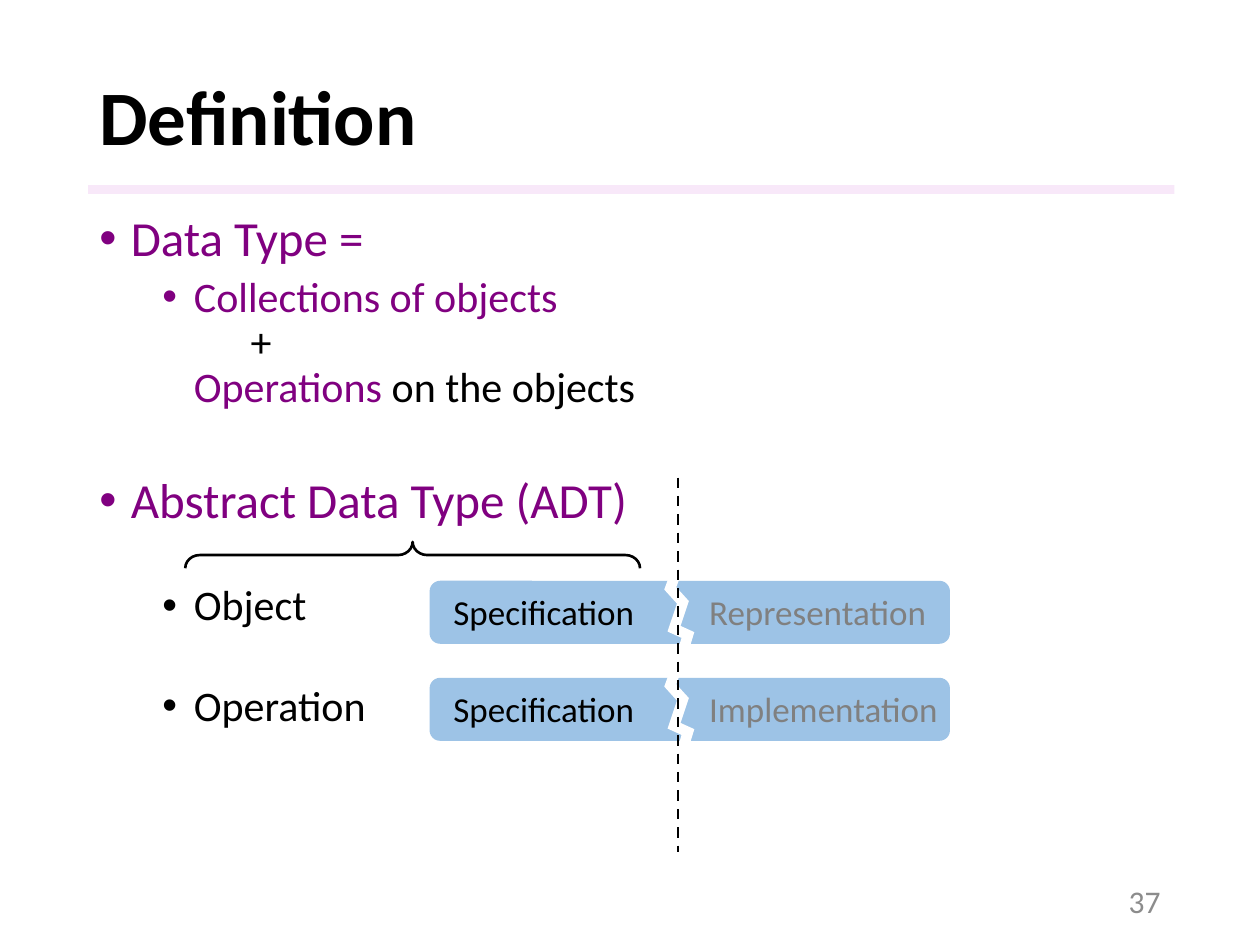
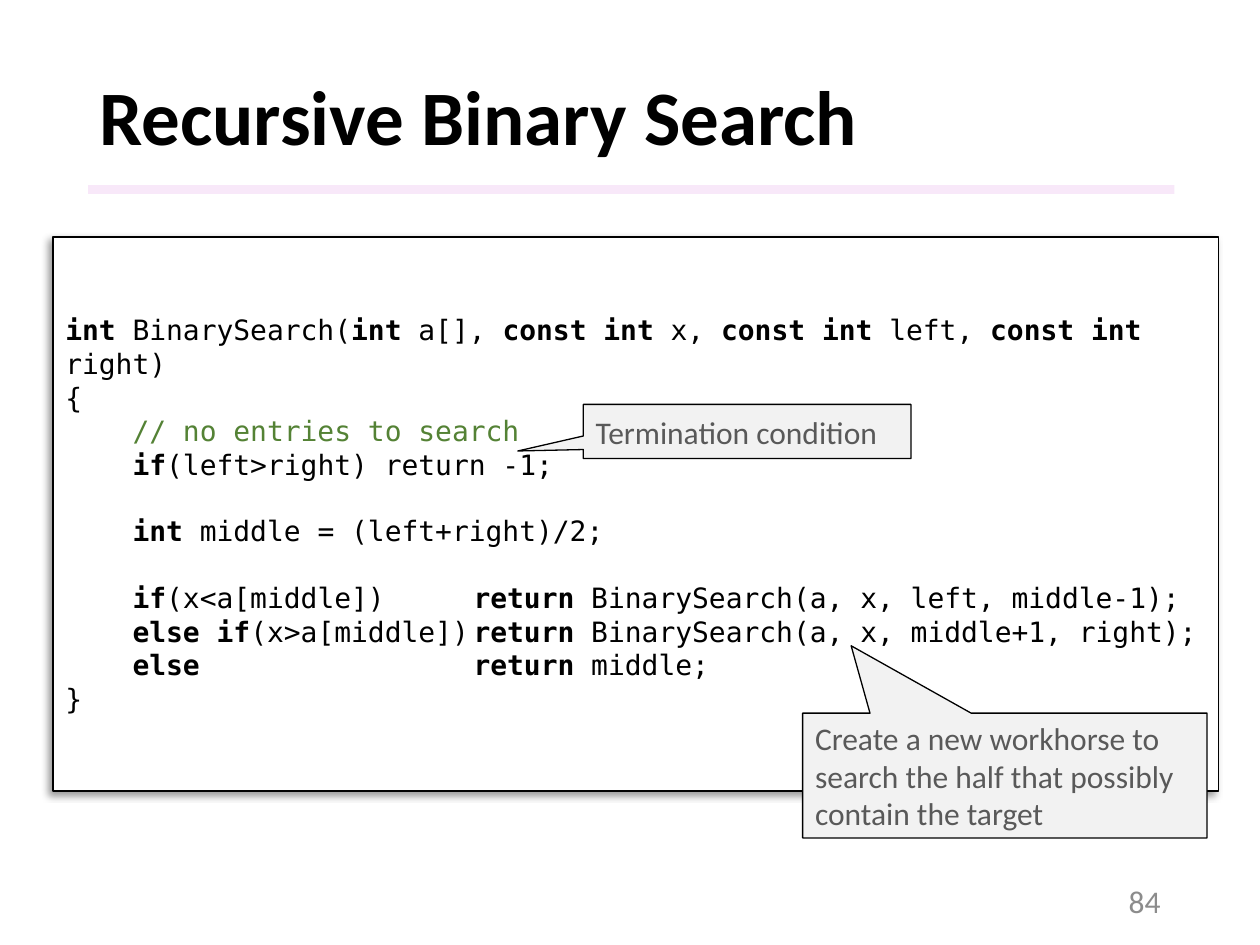
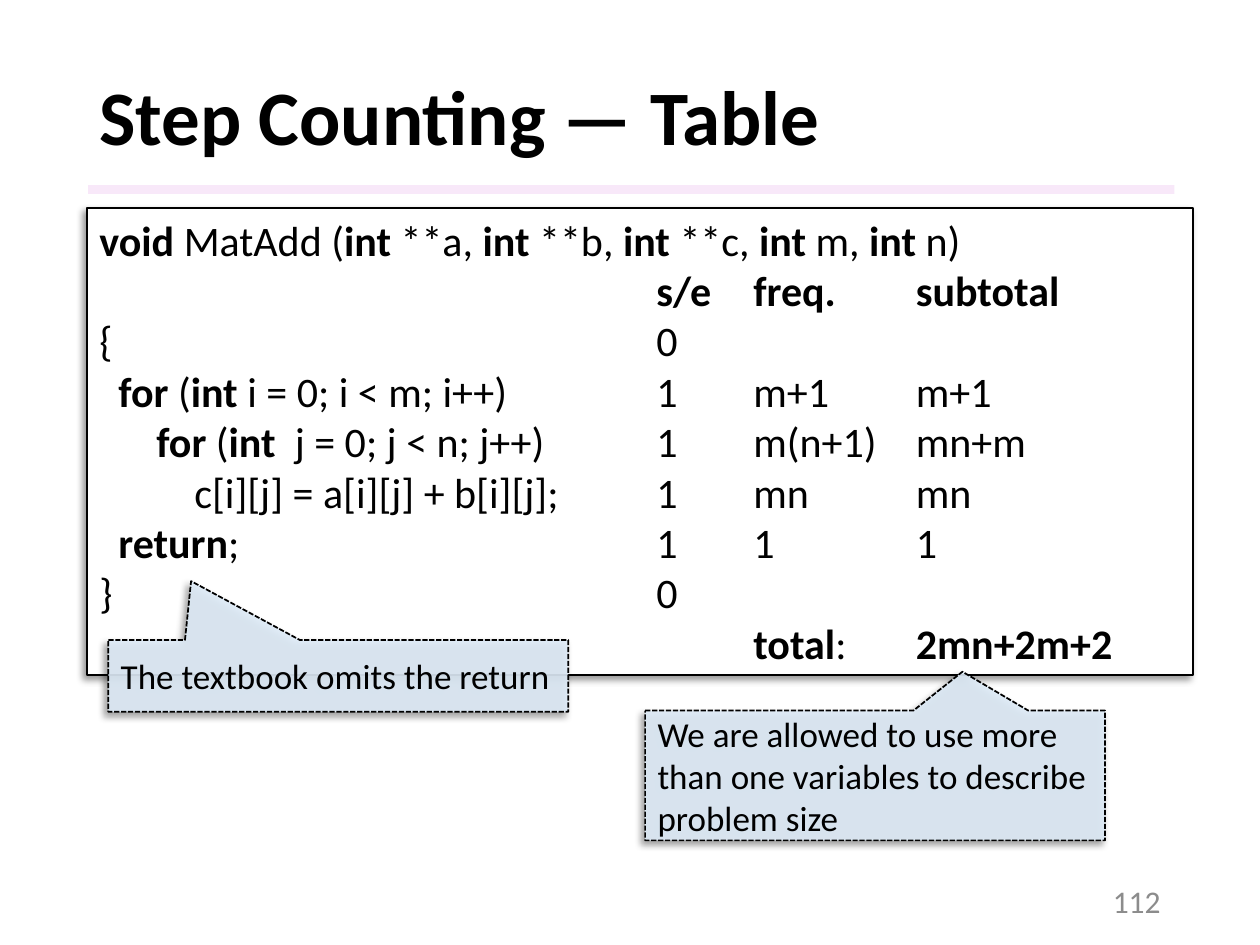
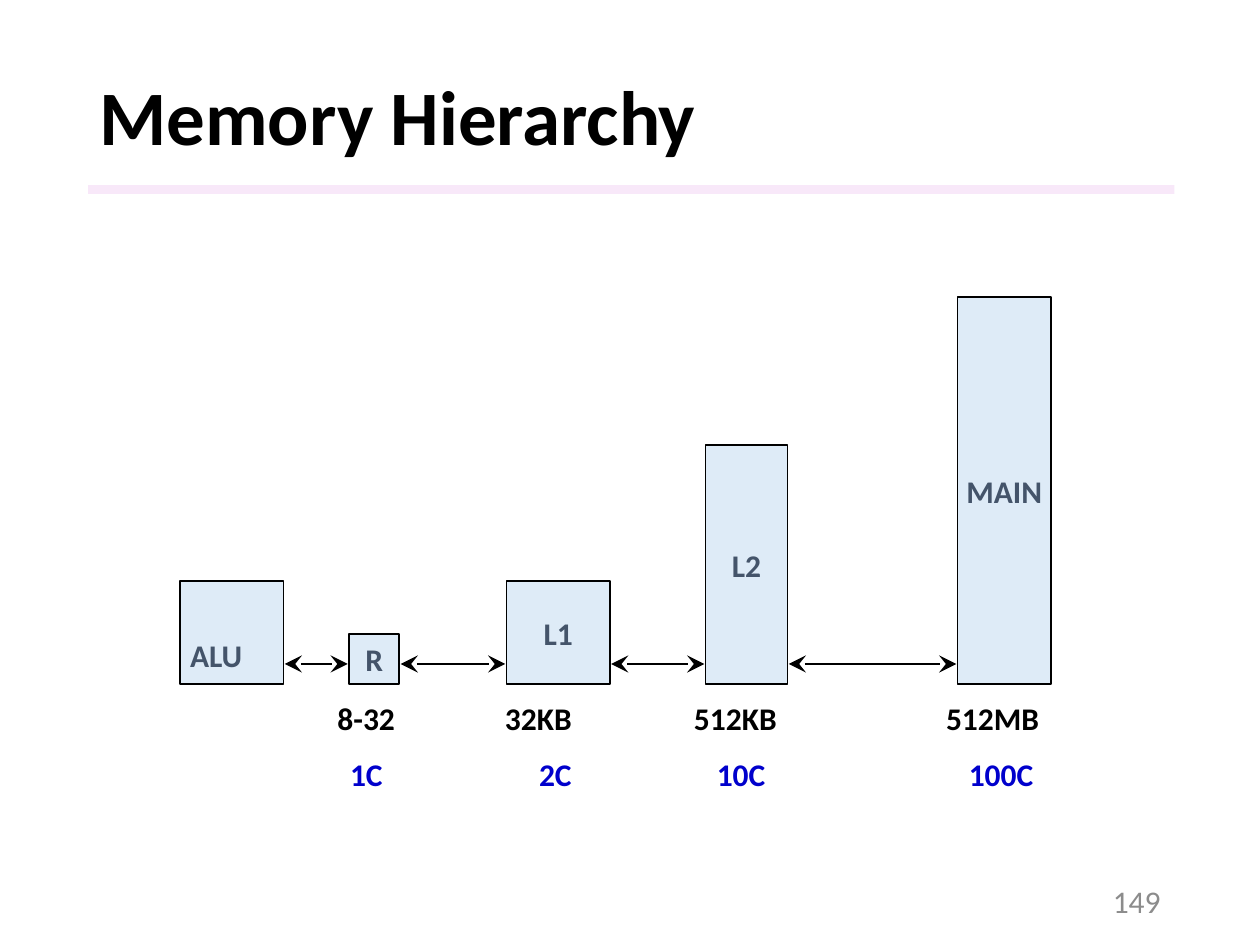
from dataclasses import dataclass, replace

import pptx
import pptx.dml.color
import pptx.enum.dml
import pptx.enum.shapes
import pptx.enum.text
import pptx.oxml
import pptx.oxml.ns
import pptx.util

Inches = pptx.util.Inches
Pt = pptx.util.Pt
SHAPE = pptx.enum.shapes.MSO_SHAPE
ANCHOR = pptx.enum.text.MSO_ANCHOR
ALIGN = pptx.enum.text.PP_ALIGN
DASH = pptx.enum.dml.MSO_LINE


@dataclass(frozen=True)
class Style:
    size: float
    color: str = "000000"
    bold: bool = False
    font: str = "Calibri"


@dataclass(frozen=True)
class Theme:
    black: str = "000000"
    white: str = "FFFFFF"
    band: str = "F3D2F4"
    purple: str = "800080"
    plate: str = "9DC3E6"
    note: str = "F2F2F2"
    pale: str = "DEEBF7"
    title: Style = Style(44, bold=True)
    number: Style = Style(18, "8C8C8C")
    topic: Style = Style(28)
    detail: Style = Style(24)
    visible: Style = Style(20)
    hidden: Style = Style(20, "808080")
    code: Style = Style(16, font="DejaVu Sans Mono")
    comment: Style = Style(16, "548235", font="DejaVu Sans Mono")
    steps: Style = Style(24)
    remark: Style = Style(18, "595959")
    aside: Style = Style(20)
    unit: Style = Style(18, "44546A", True)
    capacity: Style = Style(18, bold=True)
    latency: Style = Style(18, "0000CC", True)


THEME = Theme()


def rgb(color):
    return pptx.dml.color.RGBColor.from_string(color)


def add_xml(parent, tag, content="", **attributes):
    pairs = " ".join(f'{key}="{value}"' for key, value in attributes.items())
    namespace = pptx.oxml.ns.nsdecls("a")
    element = pptx.oxml.parse_xml(f"<a:{tag} {namespace} {pairs}>{content}</a:{tag}>")
    parent.append(element)


def write_runs(paragraph, marked_text, style, marked_style=None):
    for index, part in enumerate(marked_text.split("|")):
        if not part:
            continue
        run = paragraph.add_run()
        run.text = part
        look = marked_style if index % 2 else style
        if part.startswith("//"):
            look = THEME.comment
        run.font.name = look.font
        run.font.size = Pt(look.size)
        run.font.bold = look.bold
        run.font.color.rgb = rgb(look.color)


def next_paragraph(frame, index):
    return frame.add_paragraph() if index else frame.paragraphs[0]


def set_tabs(paragraph, stops):
    content = "".join(f'<a:tab pos="{Inches(stop)}" algn="l"/>' for stop in stops)
    add_xml(paragraph._p.get_or_add_pPr(), "tabLst", content)


def add_label(shapes, at, text, style, wrap=False, anchor=ANCHOR.TOP, align=ALIGN.LEFT):
    frame = shapes.add_textbox(*map(Inches, at)).text_frame
    frame.word_wrap = wrap
    frame.vertical_anchor = anchor
    frame.paragraphs[0].alignment = align
    write_runs(frame.paragraphs[0], text, style)
    return frame


def add_panel(slide, kind, at, fill=None, line=None, width=1, alpha=None):
    panel = slide.shapes.add_shape(kind, *map(Inches, at))
    panel.shadow.inherit = False
    if fill:
        panel.fill.solid()
        panel.fill.fore_color.rgb = rgb(fill)
        if alpha:
            color = panel._element.spPr.find(".//" + pptx.oxml.ns.qn("a:srgbClr"))
            add_xml(color, "alpha", val=alpha * 1000)
    else:
        panel.fill.background()
    if line:
        panel.line.color.rgb = rgb(line)
        panel.line.width = Pt(width)
    else:
        panel.line.fill.background()
    return panel


def cast_shadow(panel):
    effects = panel._element.spPr.find(pptx.oxml.ns.qn("a:effectLst"))
    color = f'<a:srgbClr val="{THEME.black}"><a:alpha val="40000"/></a:srgbClr>'
    add_xml(effects, "outerShdw", color, blurRad=Pt(4), dist=Pt(3),
            dir=135 * 60000, algn="tr", rotWithShape=0)


def add_line(slide, start, end, width):
    line = slide.shapes.add_connector(
        pptx.enum.shapes.MSO_CONNECTOR.STRAIGHT, *map(Inches, (*start, *end)))
    line.line.color.rgb = rgb(THEME.black)
    line.line.width = Pt(width)
    add_xml(line._element.spPr, "effectLst")
    return line


def add_double_arrow(slide, left, right, y):
    arrow = add_line(slide, (left, y), (right, y), 1)
    outline = arrow.line._get_or_add_ln()
    for end in ("headEnd", "tailEnd"):
        add_xml(outline, end, type="stealth", w="lg", len="lg")


def add_code(slide, at, lines, style, anchor, stops):
    listing = add_panel(slide, SHAPE.RECTANGLE, at, THEME.white, THEME.black)
    cast_shadow(listing)
    frame = listing.text_frame
    frame.word_wrap = True
    frame.vertical_anchor = anchor
    for index, (text, gap) in enumerate(lines):
        paragraph = next_paragraph(frame, index)
        paragraph.alignment = ALIGN.LEFT
        if gap:
            paragraph.space_before = Pt(gap)
        if "\t" in text:
            set_tabs(paragraph, stops)
        write_runs(paragraph, text, style, replace(style, bold=True))


def add_callout(slide, at, tip, text, style, fill, width, alpha=None):
    callout = add_panel(slide, SHAPE.RECTANGULAR_CALLOUT, at, fill,
                        THEME.black, width, alpha)
    for index, value in enumerate(tip):
        callout.adjustments[index] = value
    frame = callout.text_frame
    frame.word_wrap = True
    frame.vertical_anchor = ANCHOR.MIDDLE
    frame.paragraphs[0].alignment = ALIGN.LEFT
    write_runs(frame.paragraphs[0], text, style)
    return callout


def add_aside(slide, at, tip, text):
    aside = add_callout(slide, at, tip, text, THEME.aside, THEME.pale, 1, 90)
    aside.line.dash_style = DASH.SQUARE_DOT
    cast_shadow(aside)


def add_page(deck, title, number):
    slide = deck.slides.add_slide(deck.slide_layouts[6])
    add_panel(slide, SHAPE.RECTANGLE, (0.7, 1.47, 8.62, 0.07), THEME.band, alpha=50)
    heading = add_label(slide.shapes, (0.69, 0.4, 8.62, 1.11), title, THEME.title,
                        True, ANCHOR.MIDDLE)
    heading.paragraphs[0].line_spacing = 0.9
    add_label(slide.shapes, (7.06, 6.95, 2.25, 0.4), str(number), THEME.number,
              True, ANCHOR.MIDDLE, ALIGN.RIGHT)
    return slide


def add_outline(slide, at, items):
    frame = slide.shapes.add_textbox(*map(Inches, at)).text_frame
    frame.word_wrap = True
    for index, (text, style, left, bullet_color, gap) in enumerate(items):
        paragraph = next_paragraph(frame, index)
        paragraph.line_spacing = 0.9
        if gap:
            paragraph.space_before = Pt(gap)
        properties = paragraph._p.get_or_add_pPr()
        properties.set("marL", str(Inches(left)))
        properties.set("indent", str(Inches(-0.25 if bullet_color else 0)))
        if bullet_color:
            add_xml(properties, "buClr", f'<a:srgbClr val="{bullet_color}"/>')
            add_xml(properties, "buFont", typeface="Arial")
            add_xml(properties, "buChar", char="•")
        write_runs(paragraph, text, style, replace(style, color=THEME.purple))


def add_split_plate(slide, top, shown, concealed):
    add_panel(slide, SHAPE.ROUNDED_RECTANGLE, (3.41, top, 4.13, 0.5), THEME.plate)
    crack = [(5.4, -0.16), (5.32, 0.06), (5.42, 0.17),
             (5.35, 0.38), (5.46, 0.43), (5.39, 0.66)]
    points = [(Inches(x), Inches(top + dy)) for x, dy in crack]
    builder = slide.shapes.build_freeform(*points[0])
    builder.add_line_segments(points[1:], close=False)
    gap = builder.convert_to_shape()
    gap.shadow.inherit = False
    gap.fill.background()
    gap.line.color.rgb = rgb(THEME.white)
    gap.line.width = Pt(6)
    add_xml(gap.line._get_or_add_ln(), "miter", lim=800000)
    add_label(slide.shapes, (3.5, top + 0.03, 1.66, 0.44), shown, THEME.visible)
    add_label(slide.shapes, (5.53, top + 0.03, 2.1, 0.44), concealed, THEME.hidden)


def build_definition(deck):
    slide = add_page(deck, "Definition", 37)
    add_outline(slide, (0.69, 1.65, 8.62, 5.1), [
        ("|Data Type =|", THEME.topic, 0.25, THEME.purple, 0),
        ("|Collections of objects|", THEME.detail, 0.75, THEME.purple, 5),
        ("+", THEME.detail, 1.2, None, 0),
        ("|Operations |on the objects", THEME.detail, 0.75, None, 0),
        ("|Abstract Data Type (ADT)|", THEME.topic, 0.25, THEME.purple, 37),
        ("Object", THEME.detail, 0.75, THEME.black, 31.5),
        ("Operation", THEME.detail, 0.75, THEME.black, 31.5),
    ])
    add_split_plate(slide, 4.61, "Specification", "Representation")
    add_split_plate(slide, 5.38, "Specification", "Implementation")
    brace = add_panel(slide, SHAPE.RIGHT_BRACE, (3.17, 2.6, 0.21, 3.61),
                      line=THEME.black, width=1.5)
    brace.rotation = 270
    brace.adjustments[0] = 0.55
    boundary = add_line(slide, (5.38, 3.79), (5.38, 6.76), 1.5)
    boundary.line.dash_style = DASH.DASH


def build_binary_search(deck):
    slide = add_page(deck, "Recursive Binary Search", 84)
    blank_line = 19
    add_code(slide, (0.42, 1.88, 9.25, 4.4), [
        ("|int |BinarySearch(|int| a[], |const int |x, |const int |left, "
         "|const int |right)", 0),
        ("{", 0),
        ("    |// no entries to search| ", 0),
        ("    |if|(left>right) return -1;", 0),
        ("    |int| middle = (left+right)/2;", blank_line),
        ("    |if|(x<a[middle])\t|return| BinarySearch(a, x, left, middle-1);",
         blank_line),
        ("    |else if|(x>a[middle])\t|return| BinarySearch(a, x, middle+1, right);", 0),
        ("    |else| \t|return| middle;", 0),
        ("}", 0),
    ], THEME.code, ANCHOR.MIDDLE, [3.24])
    add_callout(slide, (4.63, 3.21, 2.6, 0.43), (-0.7, 0.36),
                "Termination condition", THEME.remark, THEME.note, 0.75)
    add_callout(slide, (6.37, 5.66, 3.21, 0.99), (-0.38, -1.04),
                "Create a new workhorse to search the half that possibly "
                "contain the target", THEME.remark, THEME.note, 0.75)


def build_step_counting(deck):
    slide = add_page(deck, "Step Counting — Table", 112)
    lines = [
        "|void |MatAdd (|int| **a, |int| **b, |int| **c, |int| m, |int| n)",
        "\t|s/e\tfreq.\tsubtotal|",
        "{\t0",
        "  |for |(|int| i = 0; i < m; i++)\t1\tm+1\tm+1",
        "      |for |(|int|  j = 0; j < n; j++)\t1\tm(n+1)\tmn+m",
        "          c[i][j] = a[i][j] + b[i][j];\t1\tmn\tmn",
        "  |return|;\t1\t1\t1",
        "}\t0",
        "\t\t|total|: \t|2mn+2m+2|",
    ]
    add_code(slide, (0.69, 1.65, 8.78, 3.71), [(line, 0) for line in lines],
             THEME.steps, ANCHOR.TOP, [4.42, 5.19, 6.48])
    add_aside(slide, (0.86, 5.08, 3.65, 0.57), (-0.32, -1.32),
              "The textbook omits the return")
    add_aside(slide, (5.12, 5.64, 3.65, 1.03), (0.19, -0.8),
              "We are allowed to use more than one variables to describe problem size")


def build_memory_hierarchy(deck):
    slide = add_page(deck, "Memory Hierarchy", 149)
    floor = 5.43
    units = [("", 1.43, 0.82, 0.82), ("R", 2.77, 0.4, 0.4), ("L1", 4.02, 0.82, 0.82),
             ("L2", 5.6, 0.65, 1.9), ("MAIN", 7.6, 0.74, 3.07)]
    for name, left, width, height in units:
        unit = add_panel(slide, SHAPE.RECTANGLE, (left, floor - height, width, height),
                         THEME.pale, THEME.black)
        if name:
            frame = unit.text_frame
            frame.word_wrap = False
            frame.vertical_anchor = ANCHOR.MIDDLE
            frame.paragraphs[0].alignment = ALIGN.CENTER
            write_runs(frame.paragraphs[0], name, THEME.unit)
    add_label(slide.shapes, (1.41, 5, 0.62, 0.4), "ALU", THEME.unit)
    for (_, left, width, _), (_, following, _, _) in zip(units, units[1:]):
        add_double_arrow(slide, left + width + 0.01, following - 0.01, 5.27)
    label_rows = [
        (5.5, THEME.capacity, [("8-32", 2.58, 0.66), ("32KB", 3.91, 0.74),
                               ("512KB", 5.41, 0.87), ("512MB", 7.41, 0.95)]),
        (5.94, THEME.latency, [("1C", 2.68, 0.47), ("2C", 4.18, 0.47),
                               ("10C", 5.59, 0.59), ("100C", 7.59, 0.72)]),
    ]
    for top, style, labels in label_rows:
        row = slide.shapes.add_group_shape()
        for text, left, width in labels:
            add_label(row.shapes, (left, top, width, 0.4), text, style)


def main():
    deck = pptx.Presentation()
    deck.slide_width = Inches(10)
    deck.slide_height = Inches(7.5)
    build_definition(deck)
    build_binary_search(deck)
    build_step_counting(deck)
    build_memory_hierarchy(deck)
    deck.save("out.pptx")


if __name__ == "__main__":
    main()
